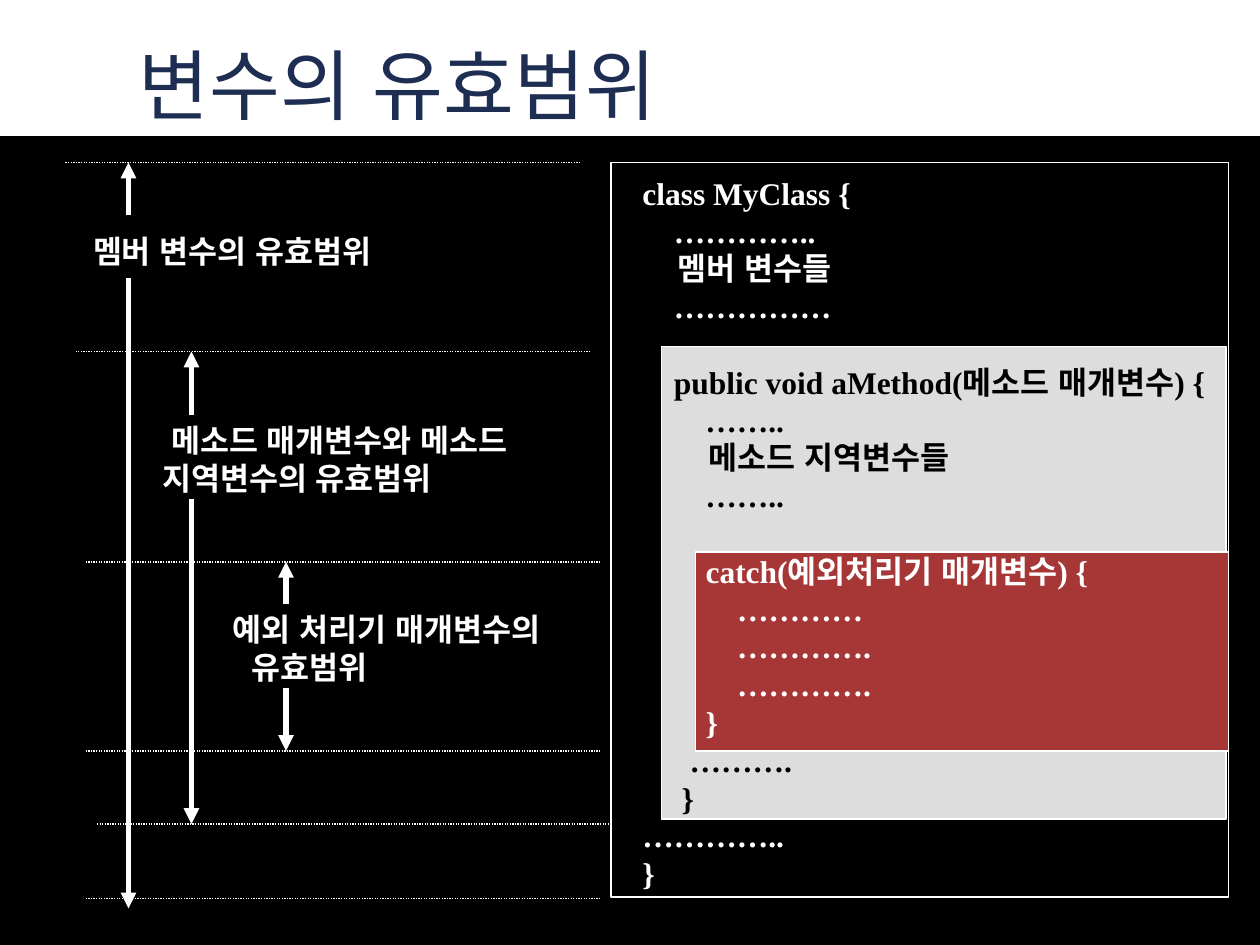
"""Build a slide that shows the scope of variables in a class."""
from pptx import Presentation
from pptx.dml.color import RGBColor
from pptx.enum import dml, shapes, text
from pptx.oxml.ns import qn
from pptx.util import Inches, Pt
from lxml import etree

WHITE, BLACK = "FFFFFF", "000000"
PITCH = 21.6


def color(value):
    return RGBColor.from_string(value)


def write(box, rows, tint, size, face, bold, pitch=None):
    frame = box.text_frame
    for i, (words, skip, indent) in enumerate(rows):
        para = frame.paragraphs[0] if i == 0 else frame.add_paragraph()
        para.add_run().text = words
        if indent:
            para._p.get_or_add_pPr().set("marL", str(Inches(indent)))
        if pitch:
            para.line_spacing = Pt(pitch)
        if skip:
            para.space_before = Pt(skip * pitch)
        para.font.size = Pt(size)
        para.font.name = face
        para.font.bold = bold
        para.font.color.rgb = color(tint)
        etree.SubElement(para.font._rPr, qn("a:ea"), typeface="Arial")


deck = Presentation()
deck.slide_width, deck.slide_height = Inches(10), Inches(7.5)
slide = deck.slides.add_slide(deck.slide_layouts[6])
parts = slide.shapes

for x, y, w, h, fill, edge in [
    (0, 1.08, 10, 6.42, BLACK, None),
    (5.25, 2.75, 4.48, 3.75, "DDDDDD", WHITE),
    (4.85, 1.29, 4.9, 5.83, None, WHITE),
    (5.52, 4.38, 4.23, 1.58, "A73737", WHITE),
]:
    panel = parts.add_shape(shapes.MSO_SHAPE.RECTANGLE,
                            Inches(x), Inches(y), Inches(w), Inches(h))
    panel.shadow.inherit = False
    if fill:
        panel.fill.solid()
        panel.fill.fore_color.rgb = color(fill)
    else:
        panel.fill.background()
    if edge:
        panel.line.color.rgb = color(edge)
        panel.line.width = Pt(0.75)
    else:
        panel.line.fill.background()

bounds = [(0.52, 1.29), (0.6, 2.79), (0.68, 4.46),
          (0.68, 5.96), (0.77, 6.54), (0.68, 7.13)]
spans = [(1.02, 1.71, 1.29), (1.02, 2.21, 7.21), (1.52, 3.29, 2.79),
         (1.52, 3.96, 6.54), (2.27, 4.79, 4.46), (2.27, 5.46, 5.96)]
lines = [(x, y, x + 4.08, y, False) for x, y in bounds]
lines += [(x, top, x, end, True) for x, top, end in spans]
for x1, y1, x2, y2, arrow in lines:
    link = parts.add_connector(shapes.MSO_CONNECTOR.STRAIGHT,
                               Inches(x1), Inches(y1), Inches(x2), Inches(y2))
    link.line.color.rgb = color(WHITE)
    link.line.width = Pt(3 if arrow else 0.75)
    if arrow:
        etree.SubElement(link.line._get_or_add_ln(), qn("a:tailEnd"), type="triangle")
    else:
        link.line.dash_style = dml.MSO_LINE.ROUND_DOT
    etree.SubElement(link._element.spPr, qn("a:effectLst"))

title = parts.add_textbox(Inches(1), Inches(0.25), Inches(6.47), Inches(0.83))
title.text_frame.word_wrap = True
title.text_frame.vertical_anchor = text.MSO_ANCHOR.BOTTOM
write(title, [("변수의 유효범위", 0, 0)], "1E2E53", 44, "Arial", False)

scopes = [
    ("멤버 변수의 유효범위", 0, 0),
    ("메소드 매개변수와 메소드", 4, 0.62),
    ("지역변수의 유효범위", 0, 0.55),
    ("예외 처리기 매개변수의", 3, 1.11),
    ("유효범위", 0, 1.26),
]
outer = [
    ("class MyClass {", 0, 0),
    ("    …………..", 0, 0),
    ("    멤버 변수들", 0, 0),
    ("    ……………", 0, 0),
    ("…………..", 13, 0),
    ("}", 0, 0),
]
method = [
    ("public void aMethod(메소드 매개변수) {", 0, 0),
    ("    ……..", 0, 0),
    ("    메소드 지역변수들", 0, 0),
    ("    ……..", 0, 0),
    ("  ……….", 6, 0),
    (" }", 0, 0),
]
catch = [
    ("catch(예외처리기 매개변수) {", 0, 0),
    ("    …………", 0, 0),
    ("    ………….", 0, 0),
    ("    ………….", 0, 0),
    ("}", 0, 0),
]
for rows, tint, x, y, w, h, left, top in [
    (scopes, WHITE, 0.64, 1.79, 3.76, 3.7, 0.1, 0.05),
    (outer, WHITE, 5, 1.33, 4.75, 5.8, 0.1, 0.05),
    (method, BLACK, 5.25, 2.83, 4.48, 3.65, 0.1, 0.05),
    (catch, WHITE, 5.52, 4.38, 4.23, 1.58, 0.08, 0),
]:
    box = parts.add_textbox(Inches(x), Inches(y), Inches(w), Inches(h))
    box.text_frame.word_wrap = rows is not scopes
    box.text_frame.margin_left = Inches(left)
    box.text_frame.margin_right = 0
    box.text_frame.margin_top = Inches(top)
    write(box, rows, tint, 18, "Times New Roman", True, PITCH)

deck.save("out.pptx")
